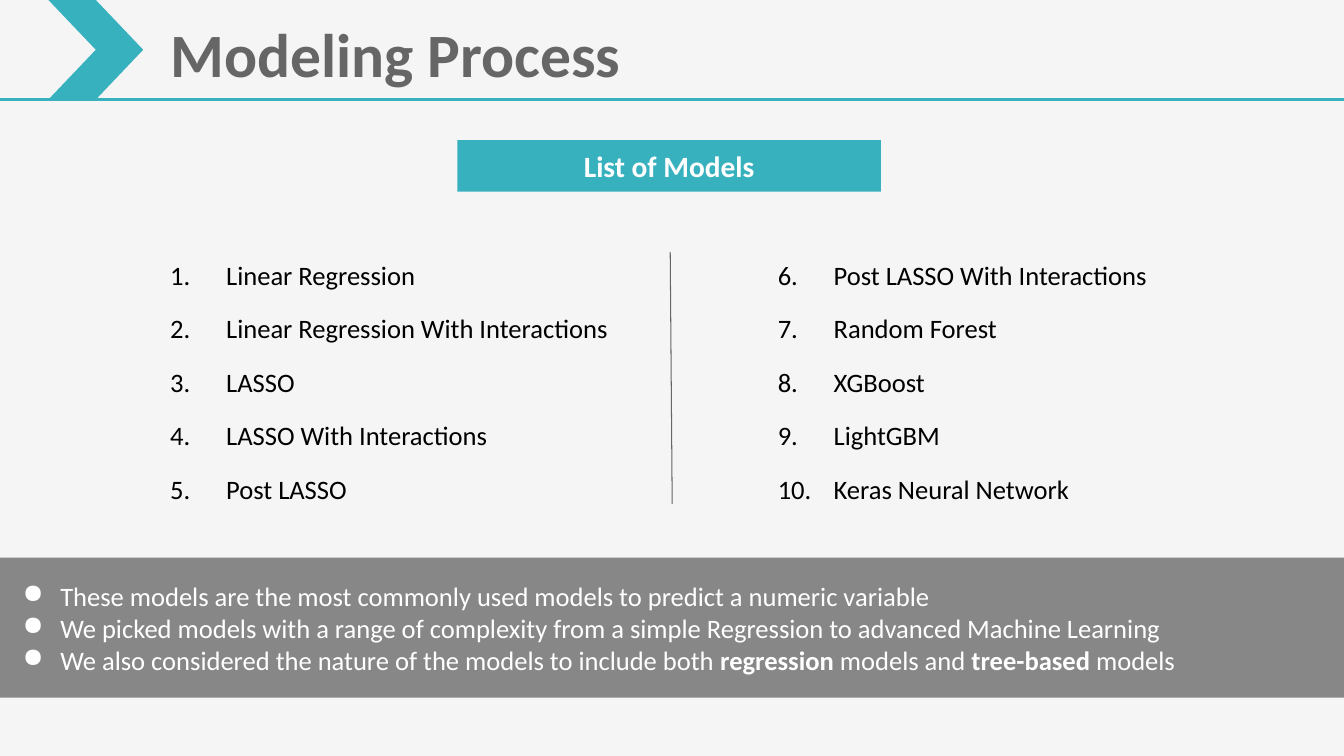
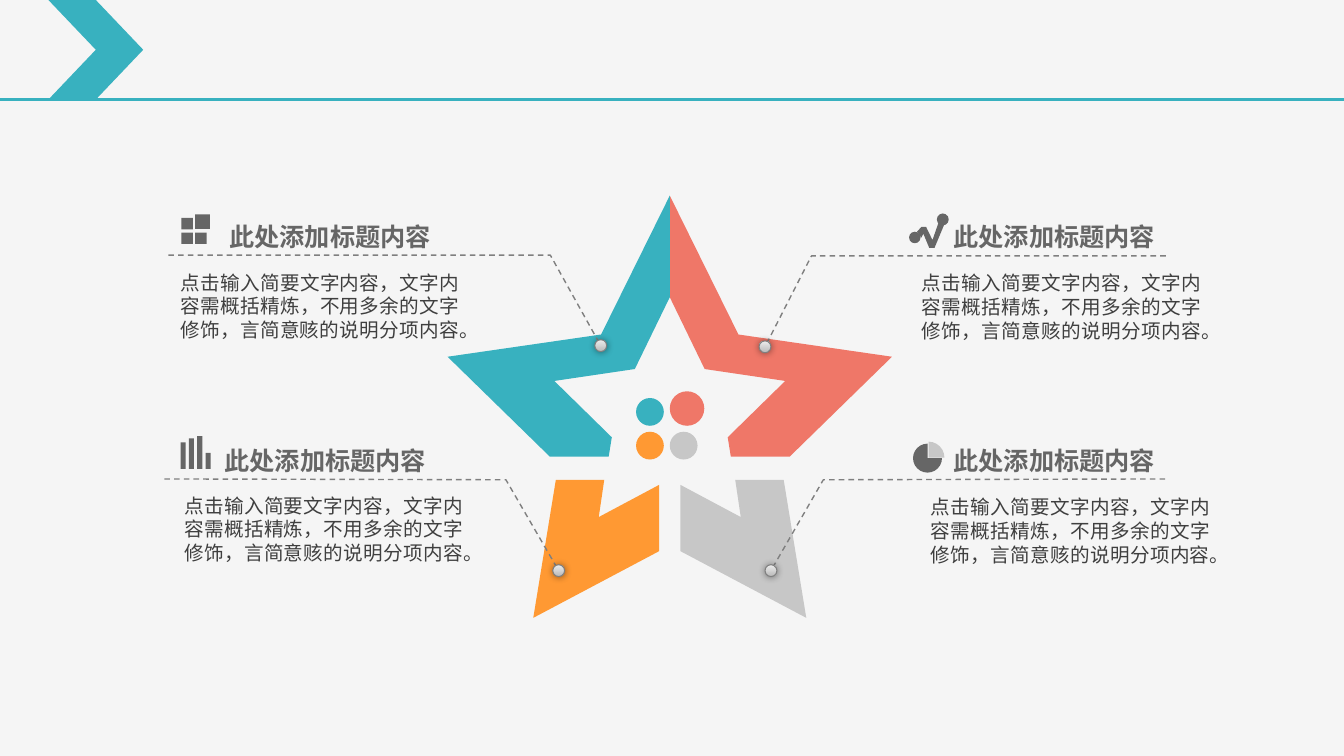
import pptx
import pptx.util
import pptx.dml.color
import pptx.enum.dml
import pptx.enum.shapes
import pptx.enum.text
import pptx.oxml
import pptx.oxml.ns
from pptx.util import Cm, Pt

SHAPE = pptx.enum.shapes.MSO_SHAPE
ALIGN = pptx.enum.text.PP_ALIGN
ANCHOR = pptx.enum.text.MSO_ANCHOR

TEAL, CORAL, ORANGE, SILVER = "38B1BF", "EF7768", "FF9933", "C7C7C7"
PAPER, DARK, BAND, BODY, LEADER = "F5F5F5", "666666", "878787", "3F3F3F", "7F7F7F"
LATIN, CJK = "Calibri", "Noto Sans CJK SC"
WIDTH, HEIGHT = 33.87, 19.05

# Slide 1 content; a paragraph is a string or a list of (text, bold) runs
MODELS = [
    "Linear Regression", "Linear Regression With Interactions", "LASSO",
    "LASSO With Interactions", "Post LASSO", "Post LASSO With Interactions",
    "Random Forest", "XGBoost", "LightGBM", "Keras Neural Network",
]
REASONS = [
    "These models are the most commonly used models to predict a numeric variable",
    "We picked models with a range of complexity from a simple Regression to advanced Machine Learning",
    [("We also considered the nature of the models to include both ", False),
     ("regression", True), (" models and ", False), ("tree-based", True),
     (" models", False)],
]

# Slide 2 content, lengths in centimetres
HEADING = "此处添加标题内容"
DETAIL = "点击输入简要文字内容，文字内容需概括精炼，不用多余的文字修饰，言简意赅的说明分项内容。"
CALLOUTS = [
    # heading corner, detail corner, leader from its dot outwards
    ((5.53, 5), (4.29, 6.68), [(15.14, 8.71), (13.87, 6.43), (4.14, 6.43)]),
    ((23.78, 5), (22.98, 6.7), [(19.28, 8.74), (20.45, 6.45), (29.41, 6.45)]),
    ((5.41, 10.65), (4.39, 12.3), [(14.08, 14.38), (12.75, 12.09), (4.14, 12.07)]),
    ((23.78, 10.65), (23.2, 12.34), [(19.43, 14.38), (20.75, 12.09), (29.41, 12.07)]),
]
# Right-hand star parts as (distance from the axis, y)
STAR_AXIS = 16.88
UPPER_ARM = [(1.73, 8.43), (0, 4.93), (0, 7.49), (0.88, 9.3), (2.91, 9.6),
             (1.46, 11.02), (1.54, 11.51), (3.02, 11.51), (5.6, 8.99)]
LOWER_ARM = [(0.27, 12.22), (0.27, 13.89), (3.44, 15.57), (2.87, 12.09),
             (1.65, 12.09), (1.79, 13.03)]
STAR_PARTS = [(UPPER_ARM, 1, CORAL), (UPPER_ARM, -1, TEAL),
              (LOWER_ARM, 1, SILVER), (LOWER_ARM, -1, ORANGE)]
CENTRE_DOTS = [(16.03, 10.03, 0.7, TEAL), (16.88, 9.86, 0.87, CORAL),
               (16.03, 10.88, 0.7, ORANGE), (16.88, 10.88, 0.7, SILVER)]
TILES = [(4.57, 5.49, 0.29), (4.92, 5.4, 0.37), (4.57, 5.86, 0.29), (4.92, 5.86, 0.29)]
BAR_HEIGHTS = [0.67, 0.77, 0.83, 0.41]
TREND = [(23.65, 5.62), (23.5, 6.05), (23.34, 5.72), (23.22, 5.72), (23.11, 5.84),
         (23.22, 5.99), (23.27, 5.89), (23.42, 6.25), (23.55, 6.25), (23.8, 5.65)]
TREND_ENDS = [(22.91, 5.84, 0.29), (23.61, 5.38, 0.3)]


def rgb(value):
    return pptx.dml.color.RGBColor.from_string(value)


def add_xml(parent, tag, children="", **attrs):
    """Append a DrawingML element with the given attributes."""
    text = "".join(f' {k}="{v}"' for k, v in attrs.items())
    parent.append(pptx.oxml.parse_xml(
        f'<a:{tag} {pptx.oxml.ns.nsdecls("a")}{text}>{children}</a:{tag}>'))


def write(tf, paragraphs, size, color, font=LATIN, bold=False, align=ALIGN.LEFT,
          anchor=ANCHOR.TOP, spacing=None, before=0, bullet=None, indent=(0, 0),
          inset=0.13):
    """Fill a text frame; bullet is a (tag, attributes) pair."""
    tf.word_wrap = True
    tf.auto_size = pptx.enum.text.MSO_AUTO_SIZE.NONE
    tf.vertical_anchor = anchor
    tf.margin_left = tf.margin_right = Cm(0.25)
    tf.margin_top = tf.margin_bottom = Cm(inset)
    for i, runs in enumerate(paragraphs):
        p = tf.add_paragraph() if i else tf.paragraphs[0]
        p.alignment = align
        p.space_before = Pt(before if i else 0)
        p.line_spacing = spacing
        if bullet:
            pPr = p._p.get_or_add_pPr()
            pPr.set("marL", str(Cm(indent[0])))
            pPr.set("indent", str(Cm(indent[1])))
            add_xml(pPr, bullet[0], **bullet[1])
        for text, strong in [(runs, bold)] if isinstance(runs, str) else runs:
            r = p.add_run()
            r.text = text
            r.font.size, r.font.bold, r.font.name = Pt(size), strong, font
            r.font.color.rgb = rgb(color)
            if font == CJK:
                add_xml(r._r.get_or_add_rPr(), "ea", typeface=font)


def place(sp, x, y, w, h):
    sp.left, sp.top, sp.width, sp.height = Cm(x), Cm(y), Cm(w), Cm(h)


def add_shape(s, kind, x, y, w, h, fill):
    sp = s.shapes.add_shape(kind, Cm(x), Cm(y), Cm(w), Cm(h))
    sp.shadow.inherit = False
    sp.fill.solid()
    sp.fill.fore_color.rgb = rgb(fill)
    sp.line.fill.background()
    return sp


def add_text(s, x, y, w, h, text, **fmt):
    write(s.shapes.add_textbox(Cm(x), Cm(y), Cm(w), Cm(h)).text_frame, [text], **fmt)


def add_line(s, x1, y1, x2, y2, color, width):
    line = s.shapes.add_connector(pptx.enum.shapes.MSO_CONNECTOR.STRAIGHT,
                                  Cm(x1), Cm(y1), Cm(x2), Cm(y2))
    line.line.color.rgb = rgb(color)
    line.line.width = Pt(width)
    add_xml(line.element.spPr, "effectLst")
    return line


def add_outline(s, points, fill=None):
    """Closed filled polygon, or an open unfilled line without a fill."""
    start, *rest = [(Cm(x), Cm(y)) for x, y in points]
    builder = s.shapes.build_freeform(*start)
    builder.add_line_segments(rest, close=bool(fill))
    sp = builder.convert_to_shape()
    sp.shadow.inherit = False
    if fill:
        sp.fill.solid()
        sp.fill.fore_color.rgb = rgb(fill)
        sp.line.fill.background()
    else:
        sp.fill.background()
    return sp


def add_leader(s, points):
    """Dashed leader line ending in a small glossy dot."""
    line = add_outline(s, points).line
    line.color.rgb = rgb(LEADER)
    line.width = Pt(1)
    line.dash_style = pptx.enum.dml.MSO_LINE.DASH
    add_xml(line._get_or_add_ln(), "headEnd", type="oval")
    (x, y), size = points[0], 0.3
    dot = add_shape(s, SHAPE.OVAL, x - size / 2, y - size / 2, size, size, SILVER)
    dot.fill.gradient()
    dot.fill.gradient_angle = 90
    for stop, color in zip(dot.fill.gradient_stops, ("BABABA", "EDEDED")):
        stop.color.rgb = rgb(color)
    dot.line.color.rgb = rgb(LEADER)
    dot.line.width = Pt(0.75)
    effects = dot.element.spPr.find(pptx.oxml.ns.qn("a:effectLst"))
    add_xml(effects, "outerShdw",
            '<a:srgbClr val="000000"><a:alpha val="40000"/></a:srgbClr>',
            blurRad=Pt(5), dist=0, dir=0)


def dress_master(prs, s):
    """Draw the shared header on a slide and move it to the master."""
    master = prs.slide_master
    master.background.fill.solid()
    master.background.fill.fore_color.rgb = rgb(PAPER)
    for sp in (add_line(s, 0, 2.51, WIDTH, 2.51, TEAL, 2.25),
               add_shape(s, SHAPE.CHEVRON, 1.22, 0, 2.39, 2.51, TEAL)):
        master.shapes.element.append(sp.element)


def build_models(s):
    title, *columns = s.placeholders
    place(title, 4.04, 0.28, 15.32, 2.13)
    write(title.text_frame, ["Modeling Process"], 44, DARK, bold=True)
    label = add_shape(s, SHAPE.RECTANGLE, 11.53, 3.53, 10.67, 1.3, TEAL)
    write(label.text_frame, ["List of Models"], 21, "FFFFFF", bold=True,
          align=ALIGN.CENTER, anchor=ANCHOR.MIDDLE)
    add_line(s, 16.89, 6.35, 16.94, 12.7, DARK, 0.75)
    half = len(MODELS) // 2
    for i, column in enumerate(columns):
        place(column, 4.04 + i * 15.31, 6.15, 12.9, 7)
        number = ("buAutoNum", {"type": "arabicPeriod", "startAt": i * half + 1})
        write(column.text_frame, MODELS[i * half:(i + 1) * half], 19, "000000",
              spacing=1.15, before=12, bullet=number, indent=(1.41, -1.41), inset=0.25)
    band = add_shape(s, SHAPE.RECTANGLE, 0, 14.05, WIDTH, 3.53, BAND)
    write(band.text_frame, REASONS, 19, "FFFFFF", anchor=ANCHOR.MIDDLE,
          bullet=("buChar", {"char": "●"}), indent=(1.27, -0.95))


def build_star(s):
    for arm, side, color in STAR_PARTS:
        add_outline(s, [(STAR_AXIS + side * dx, y) for dx, y in arm], color)
    for x, y, size, color in CENTRE_DOTS:
        add_shape(s, SHAPE.OVAL, x, y, size, size, color)


def build_icons(s):
    for x, y, size in TILES:
        add_shape(s, SHAPE.RECTANGLE, x, y, size, size, DARK)
    for i, h in enumerate(BAR_HEIGHTS):
        add_shape(s, SHAPE.RECTANGLE, 4.55 + i * 0.21, 11.82 - h, 0.13, h, DARK)
    add_outline(s, TREND, DARK)
    for x, y, size in TREND_ENDS:
        add_shape(s, SHAPE.OVAL, x, y, size, size, DARK)
    add_shape(s, SHAPE.PIE, 23.01, 11.18, 0.73, 0.73, DARK)
    add_shape(s, SHAPE.PIE_WEDGE, 23.4, 11.13, 0.4, 0.4, SILVER).rotation = 90


def build_callouts(s):
    for heading, detail, leader in CALLOUTS:
        add_text(s, *heading, 6.38, 1.27, HEADING, size=18, color=DARK, font=CJK,
                 bold=True, align=ALIGN.JUSTIFY, spacing=Pt(34))
        add_leader(s, leader)
        add_text(s, *detail, 7.55, 2.6, DETAIL, size=14, color=BODY, font=CJK,
                 align=ALIGN.JUSTIFY, spacing=Pt(17))


def main():
    prs = pptx.Presentation()
    prs.slide_width, prs.slide_height = Cm(WIDTH), Cm(HEIGHT)
    layouts = prs.slide_layouts
    models = prs.slides.add_slide(layouts.get_by_name("Two Content"))
    dress_master(prs, models)
    build_models(models)
    star = prs.slides.add_slide(layouts.get_by_name("Blank"))
    build_star(star)
    build_icons(star)
    build_callouts(star)
    prs.save("out.pptx")


if __name__ == "__main__":
    main()
